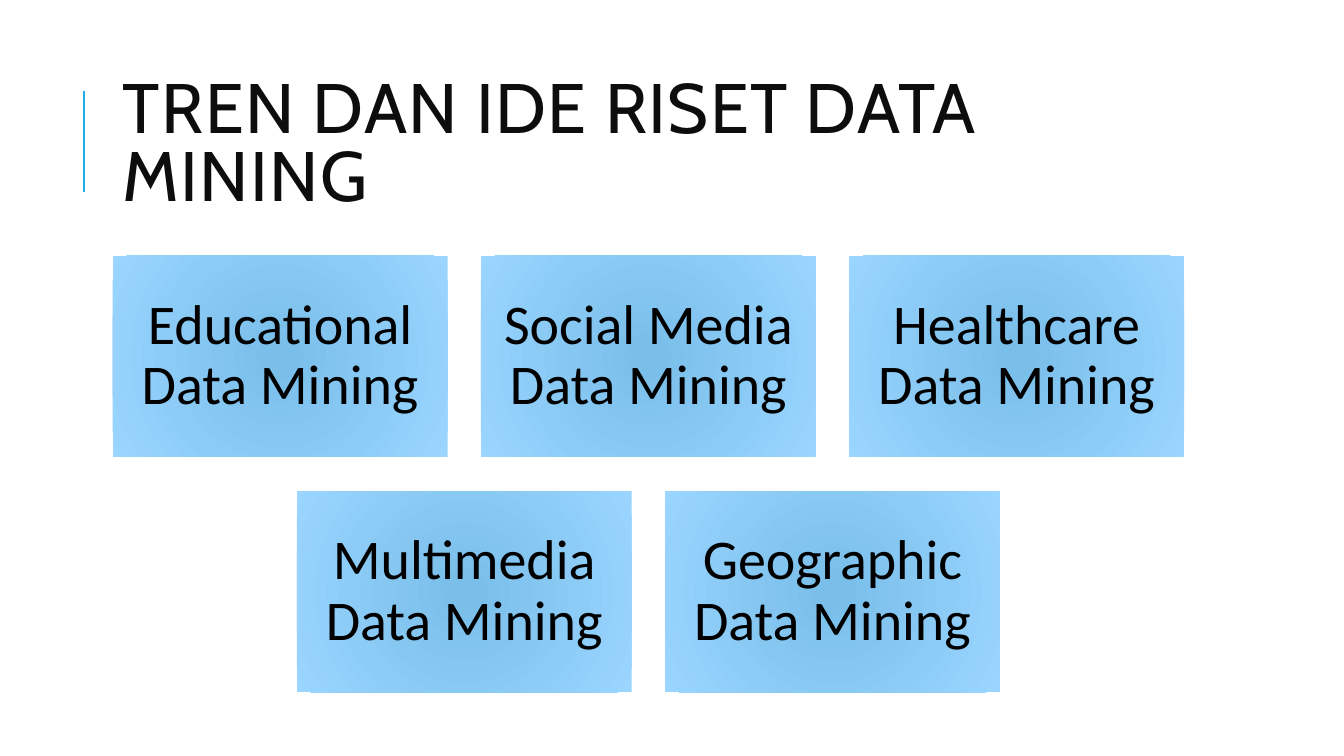
from lxml import etree
from pptx import Presentation
from pptx import util as u
from pptx.dml.color import RGBColor
from pptx.enum import shapes, text
from pptx.oxml.ns import qn


def rgb(value):
    return RGBColor.from_string(value)


def format_text(tf, font, size, color, align, spacing):
    tf.word_wrap = True
    tf.auto_size = text.MSO_AUTO_SIZE.NONE
    tf.vertical_anchor = text.MSO_ANCHOR.MIDDLE
    p = tf.paragraphs[0]
    p.alignment = align
    p.line_spacing = spacing
    r = p.runs[0]
    r.font.name = font
    r.font.size = u.Pt(size)
    r.font.color.rgb = rgb(color)
    return r


prs = Presentation()
prs.slide_width = u.Cm(33.87)
prs.slide_height = u.Cm(19.05)
s = prs.slides.add_slide(prs.slide_layouts[5])

accent = s.shapes.add_connector(
    shapes.MSO_CONNECTOR.STRAIGHT, u.Cm(2.12), u.Cm(4.83), u.Cm(2.12), u.Cm(2.29))
accent.line.color.rgb = rgb("1CADE4")
accent.line.width = u.Pt(1.5)
etree.SubElement(accent._element.spPr, qn("a:effectLst"))

title = s.shapes.title
title.left, title.top = u.Cm(2.84), u.Cm(1.63)
title.width, title.height = u.Cm(27), u.Cm(4.17)
title.text_frame.text = "TREN DAN IDE RISET DATA MINING"
r = format_text(title.text_frame, "Cabin", 50, "0D0D0D", text.PP_ALIGN.LEFT, 0.8)
r.font._element.set("spc", "100")

rows = [
    (2.84, 6.45, ["Educational", "Social Media", "Healthcare"]),
    (7.48, 12.38, ["Multimedia", "Geographic"]),
]
pitch = 9.28
for left, top, topics in rows:
    for i, topic in enumerate(topics):
        sp = s.shapes.add_shape(
            shapes.MSO_SHAPE.RECTANGLE,
            u.Cm(left + i * pitch), u.Cm(top), u.Cm(8.44), u.Cm(5.06))
        sp.shadow.inherit = False
        sp.line.fill.background()
        sp.fill.gradient()
        for stop, color in zip(sp.fill.gradient_stops, ["78BEE9", "9AD5FF"]):
            stop.color.rgb = rgb(color)
        grad = sp._element.spPr.find(qn("a:gradFill"))
        grad.remove(grad.find(qn("a:lin")))
        radial = etree.SubElement(grad, qn("a:path"), {"path": "circle"})
        etree.SubElement(radial, qn("a:fillToRect"), {side: "100000" for side in "ltrb"})

        tf = sp.text_frame
        tf.margin_left = tf.margin_right = tf.margin_top = tf.margin_bottom = u.Cm(0.43)
        tf.text = f"{topic} Data Mining"
        format_text(tf, "Calibri", 40, "000000", text.PP_ALIGN.CENTER, 0.9)

prs.save("out.pptx")
